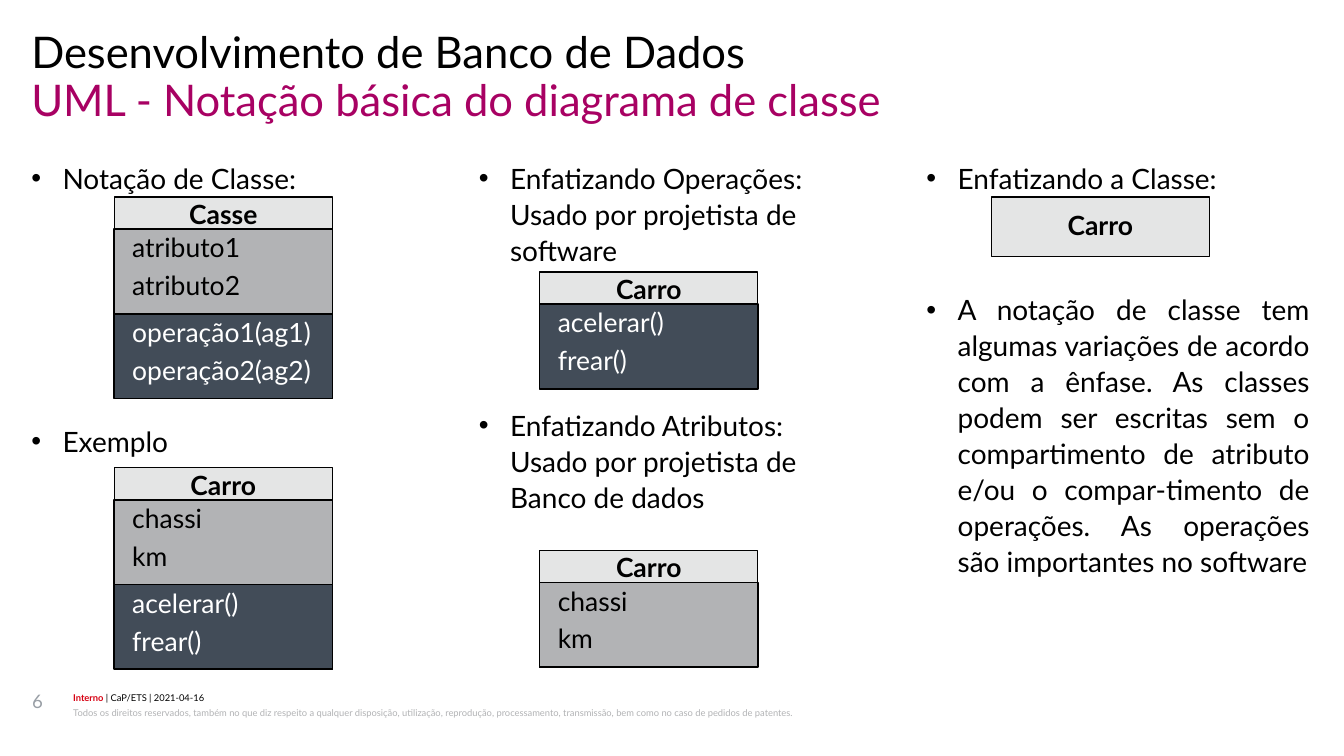
from pptx import Presentation
from pptx.dml.color import RGBColor
from pptx.enum.shapes import MSO_SHAPE
from pptx.enum.text import MSO_ANCHOR, PP_ALIGN
from pptx.oxml import parse_xml
from pptx.oxml.ns import nsdecls
from pptx.util import Cm, Pt

RECTANGLE = MSO_SHAPE.RECTANGLE
TOP, MIDDLE = MSO_ANCHOR.TOP, MSO_ANCHOR.MIDDLE
LEFT, CENTER, JUSTIFY = PP_ALIGN.LEFT, PP_ALIGN.CENTER, PP_ALIGN.JUSTIFY

FONT = "Lato"
BLACK, WHITE = "000000", "FFFFFF"
LIGHT, GRAY, SLATE = "E4E5E5", "B2B3B5", "424C58"
MAGENTA, RED, NUMBER_GRAY = "A80163", "D70012", "999FA6"

MARGIN = 0.71
COLUMN_PITCH = 10.15
COLUMN_TOP, COLUMN_WIDTH, COLUMN_HEIGHT = 3.61, 8.69, 11.58
CLASS_WIDTH = 4.95
HEADER_HEIGHT, COMPARTMENT_HEIGHT = 0.73, 1.92
BODY_LINE, BODY_GAP = 23.14, 5


def color(value):
    return RGBColor.from_string(value)


def prepare_frame(shape, insets=(0, 0, 0, 0), anchor=TOP):
    frame = shape.text_frame
    frame.word_wrap = True
    frame.vertical_anchor = anchor
    frame.margin_left, frame.margin_top, frame.margin_right, frame.margin_bottom = map(Cm, insets)
    return frame


def add_text_box(slide, left, top, width, height):
    return prepare_frame(slide.shapes.add_textbox(Cm(left), Cm(top), Cm(width), Cm(height)))


def add_paragraph(frame, index, alignment=LEFT, line_spacing=1.0, before=0, after=0):
    paragraph = frame.add_paragraph() if index else frame.paragraphs[0]
    paragraph.alignment = alignment
    paragraph.line_spacing = line_spacing
    paragraph.space_before = Pt(before)
    paragraph.space_after = Pt(after)
    return paragraph


def add_run(paragraph, text, size, hex_color, bold=False):
    run = paragraph.add_run()
    run.text = text
    run.font.name = FONT
    run.font.size = Pt(size)
    run.font.bold = bold
    run.font.color.rgb = color(hex_color)


def add_bullet(paragraph):
    properties = paragraph._p.get_or_add_pPr()
    properties.set("marL", str(Cm(0.71)))
    properties.set("indent", str(-Cm(0.71)))
    properties.append(parse_xml(f'<a:buFont {nsdecls("a")} typeface="Arial"/>'))
    properties.append(parse_xml(f'<a:buChar {nsdecls("a")} char="•"/>'))


def add_heading(slide, left, top, width):
    line_height = 1.09
    lines = [
        ("Desenvolvimento de Banco de Dados", BLACK),
        ("UML - Notação básica do diagrama de classe", MAGENTA),
    ]
    for index, (text, hex_color) in enumerate(lines):
        frame = add_text_box(slide, left, top + index * line_height, width, line_height)
        add_run(add_paragraph(frame, 0, line_spacing=0.89), text, 28, hex_color)


def add_column(slide, left, top, entries):
    frame = add_text_box(slide, left, top, COLUMN_WIDTH, COLUMN_HEIGHT)
    for index, (text, skipped_lines, alignment) in enumerate(entries):
        before = round(BODY_GAP + skipped_lines * (BODY_LINE + BODY_GAP), 1)
        paragraph = add_paragraph(frame, index, alignment, 1.07, before)
        add_bullet(paragraph)
        add_run(paragraph, text, 18, BLACK)


def add_box(group, left, top, height, fill, line_width):
    box = group.shapes.add_shape(RECTANGLE, Cm(left), Cm(top), Cm(CLASS_WIDTH), Cm(height))
    box.shadow.inherit = False
    box.fill.solid()
    box.fill.fore_color.rgb = color(fill)
    box.line.color.rgb = color(BLACK)
    box.line.width = Pt(line_width)
    return box


def add_class_name(container, name, left, top, height, insets, anchor=TOP):
    box = add_box(container, left, top, height, LIGHT, 0.75)
    frame = prepare_frame(box, insets, anchor)
    add_run(add_paragraph(frame, 0, CENTER, 0.9), name, 17, BLACK, True)


def add_class_diagram(slide, left, top, name, compartments):
    group = slide.shapes.add_group_shape()
    height = HEADER_HEIGHT + len(compartments) * COMPARTMENT_HEIGHT
    add_class_name(group, name, left, top, height, (0.18, 0.1, 0.18, 0.18))
    for index, (members, fill, text_color) in enumerate(compartments):
        compartment_top = top + HEADER_HEIGHT + index * COMPARTMENT_HEIGHT
        box = add_box(group, left, compartment_top, COMPARTMENT_HEIGHT, fill, 1)
        frame = prepare_frame(box, (0.41, 0.13, 0.18, 0.13))
        for row, member in enumerate(members):
            add_run(add_paragraph(frame, row, LEFT, 0.9, after=6), member, 17, text_color)


def add_footer(slide, left, top, width):
    add_run(add_paragraph(add_text_box(slide, left, top, 0.81, 1.14), 0), "6", 12, NUMBER_GRAY)
    text_left = left + 0.93
    frame = add_text_box(slide, text_left, top + 0.02, width, 0.3)
    paragraph = add_paragraph(frame, 0, line_spacing=1.07, after=1)
    add_run(paragraph, "Interno", 6, RED, True)
    add_run(paragraph, " | CaP/ETS | 2021-04-16", 6, BLACK)
    frame = add_text_box(slide, text_left, top + 0.33, width, 0.61)
    paragraph = add_paragraph(frame, 0, line_spacing=1.2, after=1)
    add_run(
        paragraph,
        "Todos os direitos reservados, também no que diz respeito a qualquer disposição, "
        "utilização, reprodução, processamento, transmissão, bem como no caso de pedidos de patentes.",
        6,
        GRAY,
    )


def main():
    presentation = Presentation()
    presentation.slide_width = Cm(30.48)
    presentation.slide_height = Cm(17.145)
    slide = presentation.slides.add_slide(presentation.slide_layouts[6])

    add_heading(slide, MARGIN, 0.71, 29.03)

    columns = [
        [("Notação de Classe:", 0, LEFT), ("Exemplo", 5, LEFT)],
        [
            ("Enfatizando Operações: Usado por projetista de software", 0, LEFT),
            ("Enfatizando Atributos: Usado por projetista de Banco de dados", 3, LEFT),
        ],
        [
            ("Enfatizando a Classe:", 0, JUSTIFY),
            (
                "A notação de classe tem algumas variações de acordo com a ênfase. "
                "As classes podem ser escritas sem o compartimento de atributo e/ou o "
                "compar-timento de operações. As operações são importantes no software",
                2,
                JUSTIFY,
            ),
        ],
    ]
    for index, entries in enumerate(columns):
        add_column(slide, MARGIN + index * COLUMN_PITCH, COLUMN_TOP, entries)

    attributes = (["chassi", "km"], GRAY, BLACK)
    operations = (["acelerar()", "frear()"], SLATE, WHITE)
    generic_attributes = (["atributo1", "atributo2"], GRAY, BLACK)
    generic_operations = (["operação1(ag1)", "operação2(ag2)"], SLATE, WHITE)
    diagrams = [
        (2.59, 4.47, "Casse", [generic_attributes, generic_operations]),
        (2.59, 10.61, "Carro", [attributes, operations]),
        (12.24, 6.17, "Carro", [operations]),
        (12.24, 12.48, "Carro", [attributes]),
    ]
    for left, top, name, compartments in diagrams:
        add_class_diagram(slide, left, top, name, compartments)
    add_class_name(slide, "Carro", 22.48, 4.47, 1.35, (0.18, 0, 0.18, 0), MIDDLE)

    add_footer(slide, MARGIN + 0.02, 15.65, 25.43)
    presentation.save("out.pptx")


if __name__ == "__main__":
    main()
